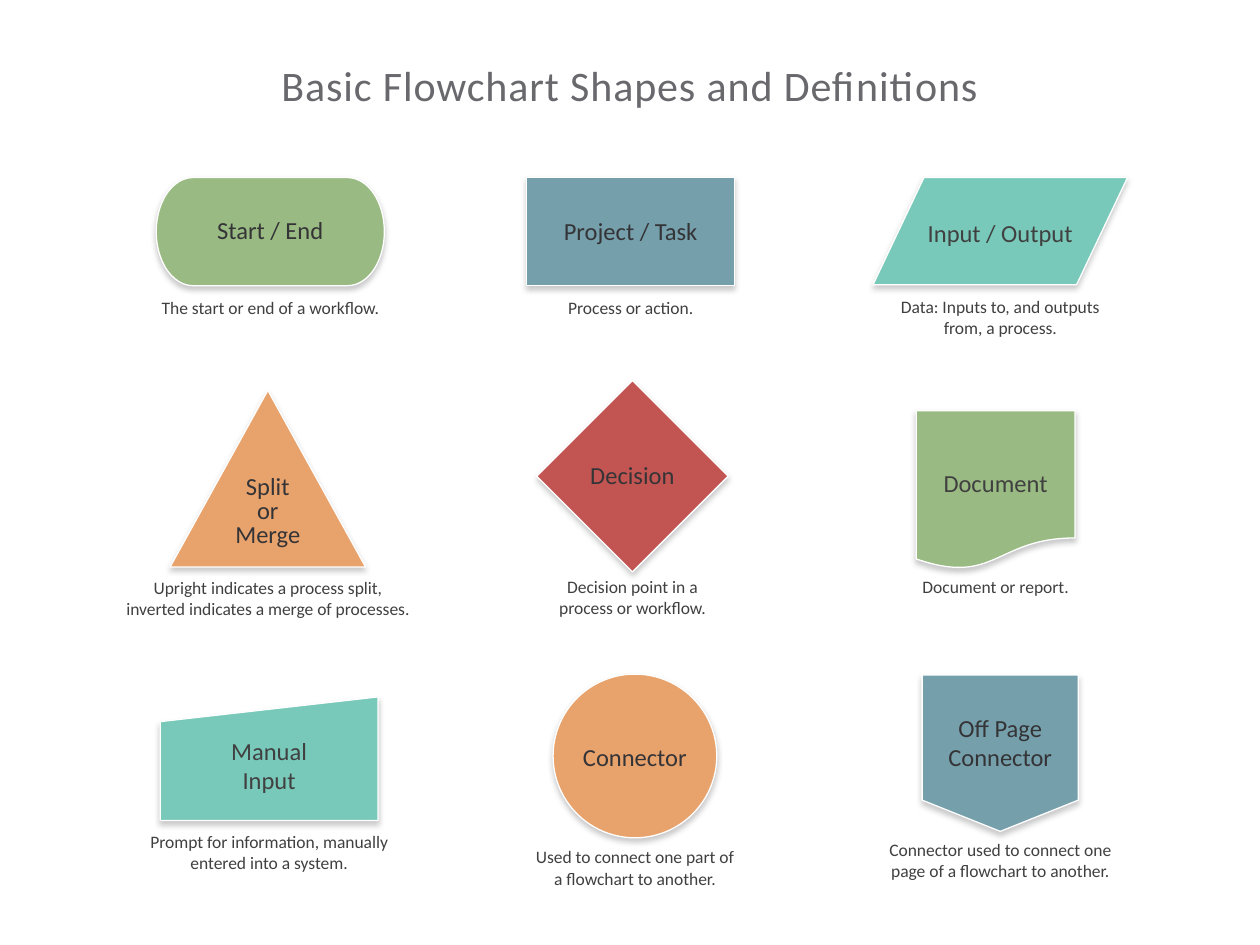
from dataclasses import dataclass

from pptx import Presentation
from pptx.dml.color import RGBColor
from pptx.enum.shapes import MSO_SHAPE as Preset
from pptx.enum.text import MSO_AUTO_SIZE as AutoSize, PP_ALIGN as Align
from pptx.oxml import parse_xml
from pptx.oxml.ns import nsdecls, qn
from pptx.util import Cm, Pt

WHITE = RGBColor(0xFF, 0xFF, 0xFF)
GREY = RGBColor(0x68, 0x68, 0x6D)
DARK = RGBColor(0x34, 0x34, 0x37)
CHARCOAL = RGBColor(0x40, 0x40, 0x40)
GREEN = RGBColor(0x99, 0xBA, 0x82)
BLUE = RGBColor(0x75, 0x9F, 0xAB)
TEAL = RGBColor(0x78, 0xC9, 0xBA)
ORANGE = RGBColor(0xE8, 0xA2, 0x6C)
RED = RGBColor(0xC2, 0x55, 0x52)

FONT = "Calibri"
PAGE_WIDTH = 25.4
PAGE_HEIGHT = 19.05


@dataclass
class Symbol:
    preset: Preset
    fill: RGBColor
    ink: RGBColor
    box: tuple
    label: str
    label_drop: float
    caption: str
    caption_width: float
    caption_gap: float
    label_spacing: tuple = (1,)
    caption_lines: int = 1


SYMBOLS = [
    Symbol(Preset.FLOWCHART_TERMINATOR, GREEN, DARK, (3.15, 3.58, 4.6, 2.18),
           "Start / End", 0.64, "The start or end of a workflow.", 5.36, 0.1),
    Symbol(Preset.FLOWCHART_PROCESS, BLUE, DARK, (10.62, 3.58, 4.19, 2.18),
           "Project / Task", 0.66, "Process or action.", 4.75, 0.1),
    Symbol(Preset.FLOWCHART_DATA, TEAL, CHARCOAL, (17.6, 3.58, 5.13, 2.16),
           "Input / Output", 0.69, "Data: Inputs to, and outputs from, a process.",
           5.13, 0.1, caption_lines=2),
    Symbol(Preset.FLOWCHART_EXTRACT, ORANGE, DARK, (3.43, 7.87, 3.94, 3.56),
           "Split\nor\nMerge", 1.57,
           "Upright indicates a process split, inverted indicates a merge of processes.",
           6.32, 0.08, label_spacing=(0.9, 0.8, 0.8), caption_lines=2),
    Symbol(Preset.FLOWCHART_DECISION, RED, DARK, (10.82, 7.67, 3.86, 3.86),
           "Decision", 1.47, "Decision point in a process or workflow.",
           4.24, -0.05, caption_lines=2),
    Symbol(Preset.FLOWCHART_DOCUMENT, GREEN, CHARCOAL, (18.47, 8.28, 3.2, 3.2),
           "Document", 1.04, "Document or report.", 3.56, 0),
    Symbol(Preset.FLOWCHART_MANUAL_INPUT, TEAL, CHARCOAL, (3.23, 14.05, 4.39, 2.49),
           "Manual\vInput", 0.66,
           "Prompt for information, manually entered into a system.",
           5.36, 0.08, label_spacing=(1, 1), caption_lines=2),
    Symbol(Preset.FLOWCHART_CONNECTOR, ORANGE, DARK, (11.15, 13.59, 3.3, 3.3),
           "Connector", 1.24, "Used to connect one part of a flowchart to another.",
           4.7, 0.05, caption_lines=2),
    Symbol(Preset.FLOWCHART_OFFPAGE_CONNECTOR, BLUE, DARK, (18.59, 13.61, 3.15, 3.15),
           "Off Page\vConnector", 0.64,
           "Connector used to connect one page of a flowchart to another.",
           5.13, 0.03, label_spacing=(1, 1), caption_lines=2),
]


def add_text(shapes, text, left, top, width, size, ink, spacing=(1,)):
    height = 0.25 + sum(spacing) * size * 0.043
    box = shapes.add_textbox(Cm(left), Cm(top), Cm(width), Cm(height))
    frame = box.text_frame
    frame.word_wrap = True
    frame.auto_size = AutoSize.SHAPE_TO_FIT_TEXT
    frame.text = text
    for para, line_spacing in zip(frame.paragraphs, spacing):
        para.alignment = Align.CENTER
        para.line_spacing = float(line_spacing)
        for span in para.runs:
            span.font.name = FONT
            span.font.size = Pt(size)
            span.font.color.rgb = ink
    return box


def add_soft_shadow(shape):
    shape.shadow.inherit = False
    effects = shape._element.spPr.find(qn("a:effectLst"))
    effects.append(parse_xml(
        f'<a:outerShdw {nsdecls("a")} blurRad="{Pt(3.2)}" dist="{Pt(2)}" '
        f'dir="5400000" rotWithShape="0"><a:srgbClr val="{GREY}">'
        '<a:alpha val="35000"/></a:srgbClr></a:outerShdw>'))


def add_title(page, text, left, top, width):
    box = add_text(page.shapes, text, left, top, width, 24, GREY)
    for span in box.text_frame.paragraphs[0].runs:
        span._r.get_or_add_rPr().set("spc", "50")


def add_symbol(page, symbol):
    left, top, width, height = symbol.box
    shapes = page.shapes.add_group_shape().shapes
    shape = shapes.add_shape(symbol.preset, *map(Cm, symbol.box))
    shape.fill.solid()
    shape.fill.fore_color.rgb = symbol.fill
    shape.line.color.rgb = WHITE
    shape.line.width = Pt(0.75)
    add_soft_shadow(shape)
    add_text(shapes, symbol.label, left, top + symbol.label_drop, width,
             14, symbol.ink, symbol.label_spacing)
    add_text(shapes, symbol.caption, left + (width - symbol.caption_width) / 2,
             top + height + symbol.caption_gap, symbol.caption_width,
             10, CHARCOAL, (1,) * symbol.caption_lines)


def main():
    deck = Presentation()
    deck.slide_width = Cm(PAGE_WIDTH)
    deck.slide_height = Cm(PAGE_HEIGHT)
    page = deck.slides.add_slide(deck.slide_layouts[6])
    add_title(page, "Basic Flowchart Shapes and Definitions", 0, 1.07, PAGE_WIDTH)
    for symbol in SYMBOLS:
        add_symbol(page, symbol)
    deck.save("out.pptx")


if __name__ == "__main__":
    main()
